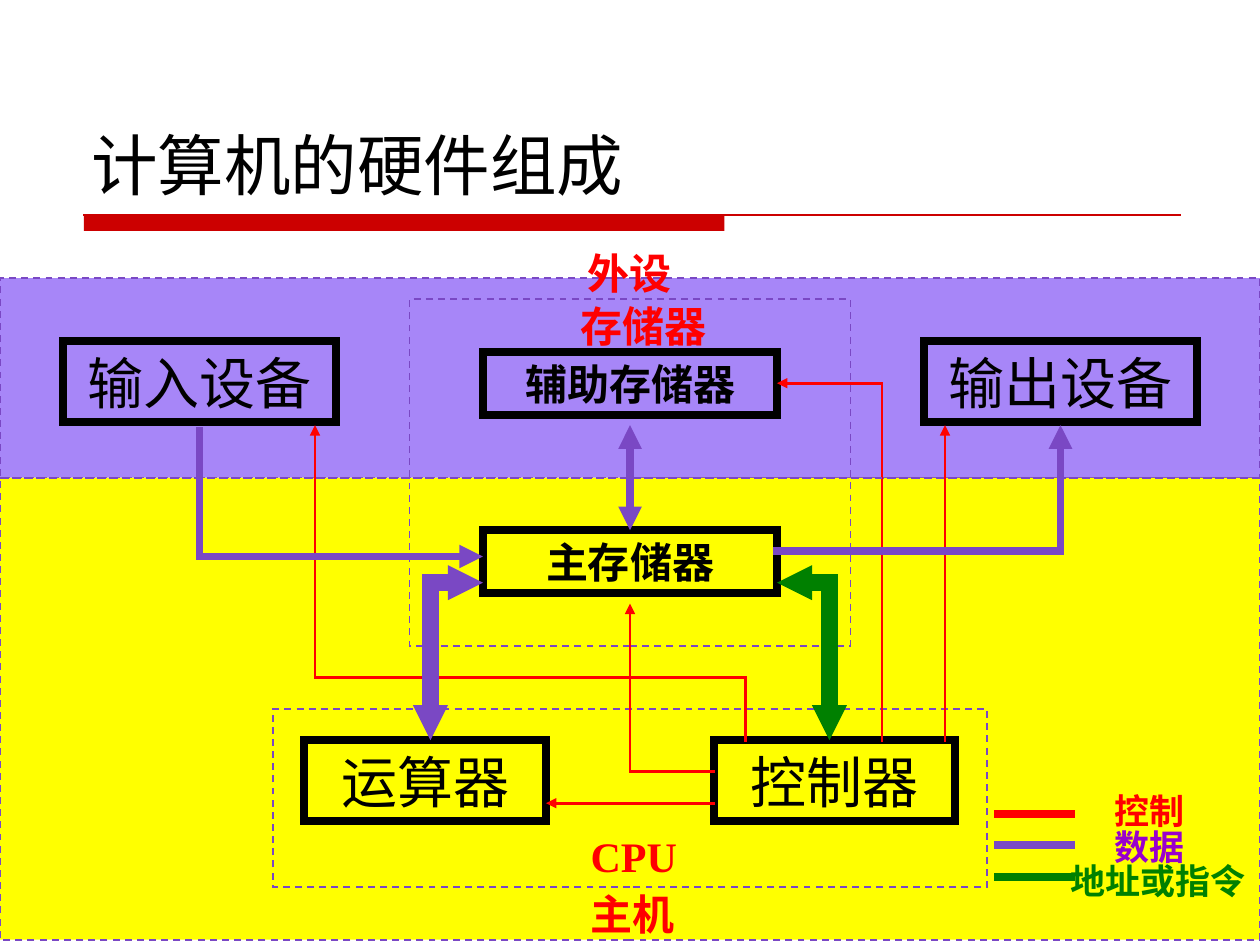
"""Build a slide on the hardware components of a computer, laid out on a 120 by 90 grid."""
from dataclasses import dataclass
from typing import Optional

from lxml import etree
from pptx import Presentation
from pptx.dml.color import RGBColor
from pptx.enum.dml import MSO_LINE
from pptx.enum.shapes import MSO_CONNECTOR, MSO_SHAPE
from pptx.enum.text import MSO_ANCHOR, MSO_AUTO_SIZE, PP_ALIGN
from pptx.oxml.ns import qn
from pptx.util import Inches, Pt

RECT = MSO_SHAPE.RECTANGLE
STRAIGHT = MSO_CONNECTOR.STRAIGHT
DASH = MSO_LINE.DASH
FIT_SHAPE = MSO_AUTO_SIZE.SHAPE_TO_FIT_TEXT
MIDDLE, BOTTOM = MSO_ANCHOR.MIDDLE, MSO_ANCHOR.BOTTOM
LEFT, CENTER = PP_ALIGN.LEFT, PP_ALIGN.CENTER

SLIDE_W, SLIDE_H = Inches(10), Inches(7.5)
COLS, ROWS = 120, 90
COLORS = {
    "black": "000000", "bar": "CC0000", "control": "FF0000", "data": "7A48C4",
    "address": "008000", "data_text": "9900CC", "peripheral": "A786F8", "host": "FFFF00",
}
SERIF = "Times New Roman"


@dataclass
class Zone:
    col: float
    row: float
    cols: float
    rows: float
    fill: Optional[str] = None
    line: Optional[str] = "data"
    width: float = 1
    dashed: bool = True


@dataclass
class Unit:
    text: str
    col: float
    row: float
    cols: float
    rows: float = 7.7
    size: int = 32
    bold: bool = False


@dataclass
class Label:
    text: str
    col: float
    row: float
    cols: float
    rows: float = 6
    size: int = 24
    color: str = "control"
    font: str = SERIF
    bold: bool = True
    align: PP_ALIGN = CENTER
    anchor: MSO_ANCHOR = MIDDLE
    wrap: bool = False


@dataclass
class Route:
    points: list
    color: str = "control"
    width: float = 1.5
    start_arrow: bool = False
    end_arrow: bool = True
    joined: Optional[tuple] = None
    dashed: bool = False
    head: str = "med"


BACK_ZONES = [
    Zone(8, 20.5, 61, 1.5, "bar", None),
    Zone(0, 26.5, COLS, 19, "peripheral"),
    Zone(0, 45.5, COLS, 44, "host"),
]
FRAMES = [Zone(39, 28.5, 42, 33), Zone(26, 67.5, 68, 17)]
UNITS = [
    Unit("运算器", 29, 70.5, 23),
    Unit("控制器", 68, 70.5, 23),
    Unit("主存储器", 46, 50.5, 28, 6, 24, True),
    Unit("输入设备", 6, 32.5, 26),
    Unit("输出设备", 88, 32.5, 26),
    Unit("辅助存储器", 46, 33.5, 28, 6, 24, True),
]
ROUTES = [
    Route([(60, 40.5), (60, 50.5)], "data", 4.5, True, joined=("主存储器", 0)),
    Route([(68, 76.5), (52, 76.5)]),
    Route([(68, 73.5), (60, 73.5), (60, 57.5)]),
    Route([(84, 70.5), (84, 36.5), (74, 36.5)], joined=("辅助存储器", 3)),
    Route([(90, 70.5), (90, 40.5)]),
    Route([(71, 70.5), (71, 64.5), (30, 64.5), (30, 40.5)]),
    Route([(46, 55.5), (41, 55.5), (41, 70.5)], "data", 10, True, head="sm"),
    Route([(74, 55.5), (79, 55.5), (79, 70.5)], "address", 10, True, head="sm"),
    Route([(19, 41), (19, 53), (46, 53)], "data", 4.5),
    Route([(74, 52.5), (101, 52.5), (101, 40.5)], "data", 4.5),
    Route([(0, 45.5), (COLS, 45.5)], "data", 1, end_arrow=False, dashed=True),
]
LEGEND = [Route([(95, 77.5 + 3 * i), (102, 77.5 + 3 * i)], color, 4.5, end_arrow=False)
          for i, color in enumerate(("control", "data", "address"))]
TITLE_RULE = Route([(8, 20.5), (112.4, 20.5)], "bar", 1, end_arrow=False)
LABELS = [
    Label("计算机的硬件组成", 7.5, 4, 105, 16, 38, "black", "DejaVu Sans", False, LEFT, BOTTOM, True),
    Label("CPU", 55.1, 78.5, 10.5),
    Label("控制", 105, 74.5, 9, 5.3, 20),
    Label("数据", 105, 78, 9, 5.3, 20, "data_text"),
    Label("地址或指令", 100.8, 81.2, 19, 5.3, 20, "address"),
    Label("主机", 55.1, 84, 10.3),
    Label("外设", 54, 23, 12, wrap=True),
    Label("存储器", 54.1, 28, 14.4),
]


def x(col: float) -> int:
    return round(SLIDE_W * col / COLS)


def y(row: float) -> int:
    return round(SLIDE_H * row / ROWS)


def rgb(name: str) -> RGBColor:
    return RGBColor.from_string(COLORS[name])


def write(sp, item, color: str, font: str, align, anchor, wrap: bool) -> None:
    tf = sp.text_frame
    tf.text = item.text
    tf.word_wrap = wrap
    tf.vertical_anchor = anchor
    if not wrap:
        tf.auto_size = FIT_SHAPE
        tf.margin_left = tf.margin_right = 0
    p = tf.paragraphs[0]
    p.alignment = align
    r = p.runs[0]
    r.font.name = font
    r.font.size = Pt(item.size)
    r.font.bold = item.bold
    r.font.color.rgb = rgb(color)


def style_line(line, color: str, width: float, dashed: bool):
    line.color.rgb = rgb(color)
    line.width = Pt(width)
    if dashed:
        line.dash_style = DASH
    ln = line._get_or_add_ln()
    etree.SubElement(ln, qn("a:miter"), lim="800000")
    return ln


def draw_zone(slide, z: Zone):
    sp = slide.shapes.add_shape(RECT, x(z.col), y(z.row), x(z.cols), y(z.rows))
    sp.shadow.inherit = False
    if z.fill:
        sp.fill.solid()
        sp.fill.fore_color.rgb = rgb(z.fill)
    else:
        sp.fill.background()
    if z.line:
        style_line(sp.line, z.line, z.width, z.dashed)
    else:
        sp.line.fill.background()
    return sp


def draw_unit(slide, u: Unit):
    sp = draw_zone(slide, Zone(u.col, u.row, u.cols, u.rows, None, "black", 4.5, False))
    write(sp, u, "black", SERIF, CENTER, MIDDLE, True)
    return sp


def draw_label(slide, b: Label) -> None:
    sp = slide.shapes.add_textbox(x(b.col), y(b.row), x(b.cols), y(b.rows))
    write(sp, b, b.color, b.font, b.align, b.anchor, b.wrap)


def draw_route(slide, route: Route, units: dict) -> None:
    last = len(route.points) - 2
    for i, (a, b) in enumerate(zip(route.points, route.points[1:])):
        c = slide.shapes.add_connector(STRAIGHT, x(a[0]), y(a[1]), x(b[0]), y(b[1]))
        if route.joined and i == last:
            name, side = route.joined
            c.end_connect(units[name], side)
        ln = style_line(c.line, route.color, route.width, route.dashed)
        if not route.dashed:
            ln.set("cap", "sq")
        arrow = {"type": "triangle", "w": route.head, "len": route.head}
        if route.start_arrow and i == 0:
            etree.SubElement(ln, qn("a:headEnd"), arrow)
        if route.end_arrow and i == last:
            etree.SubElement(ln, qn("a:tailEnd"), arrow)
        etree.SubElement(c._element.spPr, qn("a:effectLst"))


def main() -> None:
    prs = Presentation()
    prs.slide_width, prs.slide_height = SLIDE_W, SLIDE_H
    slide = prs.slides.add_slide(prs.slide_layouts[6])
    for z in BACK_ZONES:
        draw_zone(slide, z)
    units = {u.text: draw_unit(slide, u) for u in UNITS}
    for z in FRAMES:
        draw_zone(slide, z)
    for route in [TITLE_RULE, *ROUTES, *LEGEND]:
        draw_route(slide, route, units)
    for b in LABELS:
        draw_label(slide, b)
    prs.save("out.pptx")


if __name__ == "__main__":
    main()
